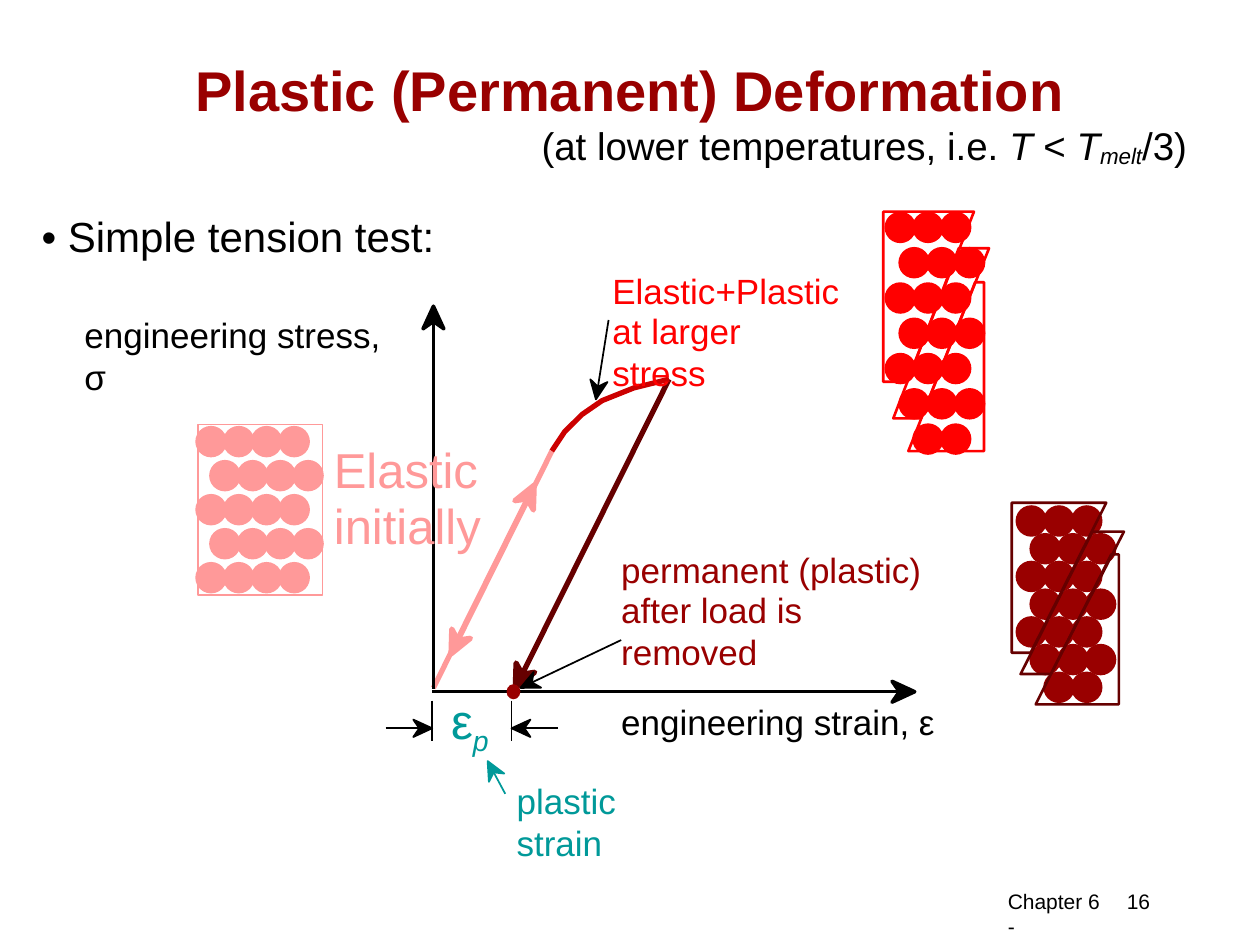
from math import hypot

from lxml import etree
from pptx import Presentation
from pptx import util as u
from pptx.dml.color import RGBColor
from pptx.enum import shapes, text
from pptx.oxml.ns import qn

COLUMNS, ROWS = 10, 7.5
CELL = u.Inches(1)
ATOM = 0.25
ATOM_PITCH = 0.22
FONT = "Arial"
COLORS = {
    "ink": "000000",
    "elastic": "FF9999",
    "plastic": "FF0000",
    "yield": "CC0000",
    "permanent": "990000",
    "unload": "660000",
    "strain": "009999",
}


def cells(*lengths):
    """Turn grid columns and rows into slide lengths."""
    return [round(length * CELL) for length in lengths]


def color(name):
    """Look up a named colour."""
    return RGBColor.from_string(COLORS[name])


def style_run(run, size, ink, italic=None, baseline=0):
    """Format one run, lowering it when it is a subscript."""
    run.font.name, run.font.size = FONT, u.Pt(size)
    run.font.color.rgb = color(ink)
    run.font.italic = italic
    if baseline:
        run.font._element.set("baseline", str(baseline * 1000))


def add_label(slide, place, parts, size, ink="ink", wrap=False, inset=(0, 0)):
    """Add text; parts are (words, italic, baseline) or one string."""
    frame = slide.shapes.add_textbox(*cells(*place)).text_frame
    frame.word_wrap = wrap
    frame.margin_left = frame.margin_right = u.Inches(inset[0])
    frame.margin_top = frame.margin_bottom = u.Inches(inset[1])
    paragraph = frame.paragraphs[0]
    for words, italic, baseline in [(parts, None, 0)] if isinstance(parts, str) else parts:
        run = paragraph.add_run()
        run.text = words
        style_run(run, size, ink, italic, baseline)
    return paragraph


def paint(shape, fill=None, line=None, width=1):
    """Set fill and outline and drop the shadow."""
    shape.shadow.inherit = False
    if fill:
        shape.fill.solid()
        shape.fill.fore_color.rgb = color(fill)
    else:
        shape.fill.background()
    if line:
        shape.line.color.rgb = color(line)
        shape.line.width = u.Pt(width)
    else:
        shape.line.fill.background()


def add_outline(slide, points, line, width, fill=None, close=True):
    """Draw a polygon or an open curve through grid points."""
    start, *rest = [cells(*point) for point in points]
    builder = slide.shapes.build_freeform(*start)
    builder.add_line_segments(rest, close=close)
    paint(builder.convert_to_shape(), fill, line, width)


def add_line(slide, start, end, ink="ink", width=1):
    """Draw a straight line without shadow."""
    line = slide.shapes.add_connector(shapes.MSO_CONNECTOR.STRAIGHT, *cells(*start, *end))
    line.line.color.rgb = color(ink)
    line.line.width = u.Pt(width)
    etree.SubElement(line._element.spPr, qn("a:effectLst"))


def add_arrow(slide, start, tip, ink="ink", width=1):
    """Draw a line that ends in a barbed head."""
    run, rise = tip[0] - start[0], tip[1] - start[1]
    span = hypot(run, rise)
    dx, dy = run / span, rise / span
    length = 0.18 if width > 1 else 0.15

    def behind(back, side):
        return tip[0] - back * dx - side * dy, tip[1] - back * dy + side * dx

    notch = behind(0.68 * length, 0)
    barb = 0.46 * length
    head = [tip, behind(length, barb), notch, behind(length, -barb)]
    add_outline(slide, head, ink, width, fill=ink)
    add_line(slide, start, notch, ink, width)


def add_dot(slide, place, ink):
    """Add a filled circle."""
    paint(slide.shapes.add_shape(shapes.MSO_SHAPE.OVAL, *cells(*place)), ink)


def add_atoms(slide, left, top, row_pitch, rows, ink):
    """Stack atom rows, each given as (shift, count)."""
    for row, (shift, count) in enumerate(rows):
        for column in range(count):
            x = left + shift + column * ATOM_PITCH
            add_dot(slide, (x, top + row * row_pitch, ATOM, ATOM), ink)


def add_headings(slide):
    """Fill the title, its condition, the topic and the footer."""
    title = slide.shapes.title
    title.left, title.top, title.width, title.height = cells(0.75, 0.42, 8.5, 0.58)
    title.text_frame.text = "Plastic (Permanent) Deformation"
    title.text_frame.vertical_anchor = text.MSO_ANCHOR.MIDDLE
    heading = title.text_frame.paragraphs[0]
    heading.alignment = text.PP_ALIGN.CENTER
    style_run(heading.runs[0], 32, "permanent")
    heading.runs[0].font.bold = True

    condition = [("(at lower temperatures, i.e. ", False, 0), ("T", True, 0), (" < ", False, 0),
                 ("T", True, 0), ("melt", True, -10), ("/3)", False, 0)]
    add_label(slide, (4.2, 0.92, 5.39, 0.47), condition, 22, inset=(0.1, 0.05))
    add_label(slide, (0.33, 1.67, 4.42, 0.4), "• Simple tension test:", 24, wrap=True)
    add_label(slide, (7.9, 7, 1.03, 0.3), "Chapter 6 -", 12, inset=(0.1, 0.05))
    number = add_label(slide, (8.39, 7, 1.29, 0.39), "16", 12, wrap=True, inset=(0.1, 0.05))
    number.alignment = text.PP_ALIGN.CENTER


def add_curve(slide):
    """Draw the axes, the loading path and the unloading path."""
    yield_point, peak = (4.38, 3.58), (5.31, 3.01)
    add_arrow(slide, (3.43, 5.49), (7.26, 5.49), width=2)
    add_arrow(slide, (3.44, 5.46), (4.24, 3.85), "elastic", 3)
    add_arrow(slide, yield_point, (3.58, 5.19), "elastic", 3)
    add_arrow(slide, peak, (4.09, 5.46), "unload", 3)
    hardening = [yield_point, (4.48, 3.43), (4.62, 3.29), (4.78, 3.18), (5.03, 3.08), peak]
    add_outline(slide, hardening, "yield", 3, close=False)


def add_annotations(slide):
    """Label the curve and mark the plastic strain."""
    for place, words, ink, wrap in [
        ((0.67, 2.49, 2.5, 0.33), "engineering stress, σ", "ink", True),
        ((4.93, 5.56, 2.56, 0.33), "engineering strain, ε", "ink", False),
        ((4.86, 2.14, 1.88, 0.33), "Elastic+Plastic", "plastic", False),
        ((4.86, 2.46, 1.75, 0.33), "at larger stress", "plastic", True),
        ((4.93, 4.35, 2.45, 0.33), "permanent (plastic)", "permanent", False),
        ((4.93, 4.67, 2.5, 0.33), "after load is removed", "permanent", True),
        ((4.1, 6.19, 1.5, 0.33), "plastic strain", "strain", True),
    ]:
        add_label(slide, place, words, 20, ink, wrap)
    add_label(slide, (3.58, 5.48, 0.32, 0.47), [("ε", None, 0), ("p", True, -25)], 28, "strain")

    add_arrow(slide, (4.93, 5.08), (4.13, 5.46))
    add_dot(slide, (4.02, 5.43, 0.11, 0.12), "permanent")
    add_arrow(slide, (4.83, 2.54), (4.73, 3.17))
    for limit, outside in [(3.43, 3.06), (4.06, 4.43)]:
        add_line(slide, (limit, 5.56), (limit, 5.88))
        add_arrow(slide, (outside, 5.78), (limit, 5.78))
    add_arrow(slide, (4.01, 6.3), (3.87, 6.04), "strain")
    add_arrow(slide, (3.44, 5.47), (3.44, 2.43), width=2)
    for top, words in [(3.49, "Elastic"), (3.93, "initially")]:
        add_label(slide, (2.65, top, 1.25, 0.47), words, 28, "elastic")


def add_crystals(slide):
    """Draw the elastic lattice and the two slipped lattices."""
    offset = 0.11
    add_atoms(slide, 1.55, 3.38, 0.27, [(offset * (row % 2), 4) for row in range(5)], "elastic")
    frame = slide.shapes.add_shape(shapes.MSO_SHAPE.RECTANGLE, *cells(1.57, 3.37, 0.99, 1.35))
    paint(frame, line="elastic")

    slipped = [(offset * (row % 2), 3) for row in range(6)] + [(2 * offset, 2)]
    loaded_planes = [
        [(7.74, 2.24), (7.81, 2.24), (7.81, 3.58), (7.21, 3.58)],
        [(7.2, 3.03), (7.01, 3.03), (7.01, 1.68), (7.73, 1.68)],
        [(7.61, 1.97), (7.85, 1.97), (7.31, 3.32), (7.09, 3.32)],
    ]
    unloaded_planes = [
        [(8.03, 3.99), (8.03, 5.18), (8.18, 5.18), (8.78, 3.99)],
        [(8.22, 5.59), (8.88, 5.59), (8.88, 4.4), (8.82, 4.4)],
        [(8.67, 4.22), (8.92, 4.22), (8.34, 5.35), (8.1, 5.35)],
    ]
    for left, top, pitch, ink, edge, planes in [
        (7.02, 1.68, 0.28, "plastic", "plastic", loaded_planes),
        (8.06, 4.01, 0.22, "permanent", "unload", unloaded_planes),
    ]:
        add_atoms(slide, left, top, pitch, slipped, ink)
        for plane in planes:
            add_outline(slide, plane, edge, 1.5)


def main():
    """Build and save the slide."""
    deck = Presentation()
    deck.slide_width, deck.slide_height = cells(COLUMNS, ROWS)
    slide = deck.slides.add_slide(deck.slide_layouts[5])
    add_headings(slide)
    add_curve(slide)
    add_annotations(slide)
    add_crystals(slide)
    deck.save("out.pptx")


if __name__ == "__main__":
    main()
